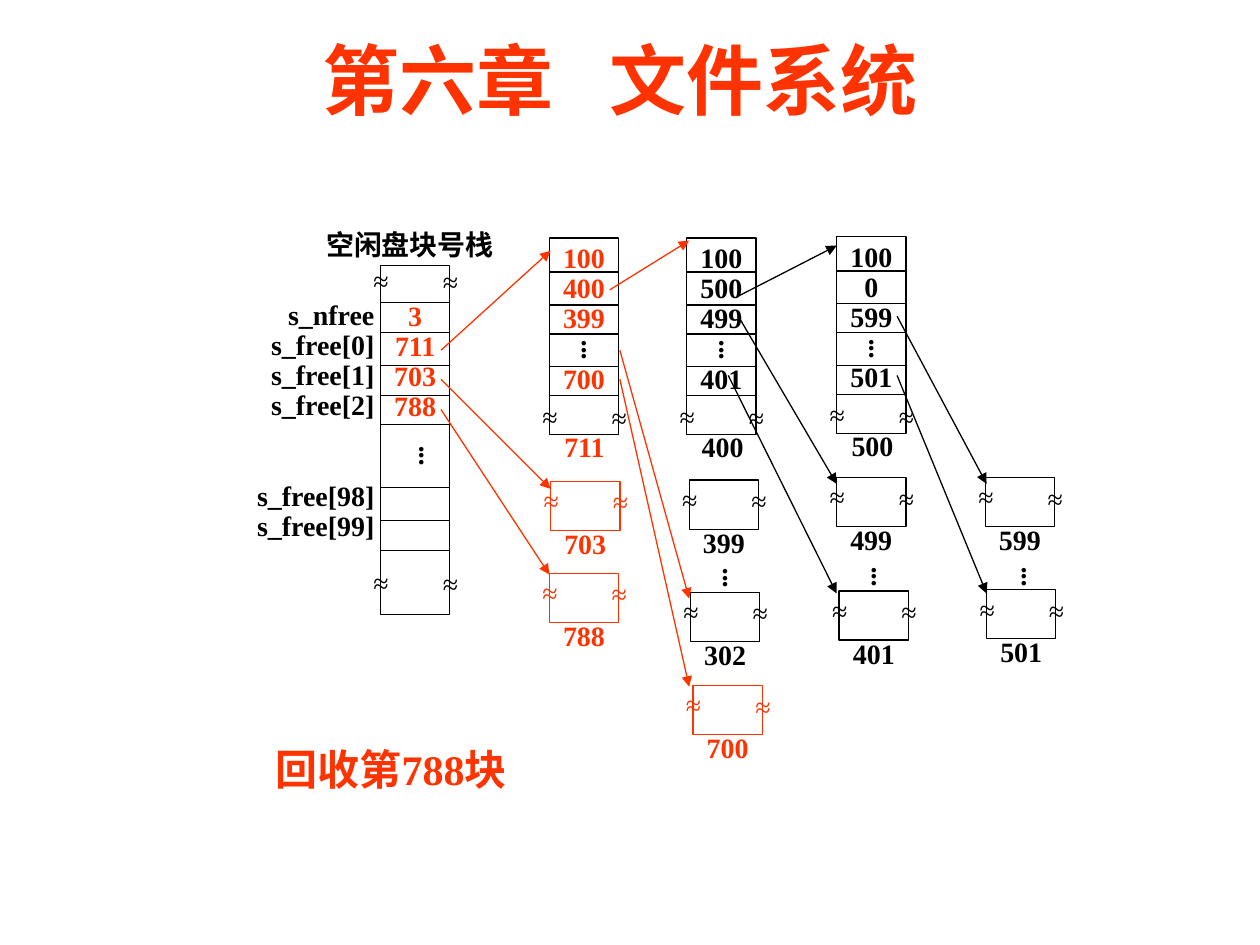
from lxml import etree
from pptx import Presentation
from pptx.dml.color import RGBColor
from pptx.enum.shapes import MSO_CONNECTOR, MSO_SHAPE
from pptx.enum.text import MSO_ANCHOR, PP_ALIGN
from pptx.oxml.ns import qn
from pptx.util import Inches, Pt

LEFT, CENTER, RIGHT = PP_ALIGN.LEFT, PP_ALIGN.CENTER, PP_ALIGN.RIGHT
TOP, MIDDLE = MSO_ANCHOR.TOP, MSO_ANCHOR.MIDDLE
RECTANGLE, STRAIGHT = MSO_SHAPE.RECTANGLE, MSO_CONNECTOR.STRAIGHT
RED, BLACK = "FF3300", "000000"
SERIF, SANS = "Times New Roman", "Arial"
BLOCK_WIDTH, ROW_PITCH = 0.55, 17.2

TITLE = ("第六章", " ", "文件系统")
STACK_TITLE = "空闲盘块号栈"
CAPTION = "回收第788块"
STACK_NAMES = ["s_nfree", "s_free[0]", "s_free[1]", "s_free[2]", None, None, "s_free[98]", "s_free[99]"]
STACK_VALUES = [None, "3", "711", "703", "788"]
STACK_X, STACK_Y, STACK_HEIGHT = 3.02, 2.11, 2.77
STACK_RULES = [2.4, 2.64, 2.9, 3.14, 3.37, 3.87, 4.13, 4.37]

INDEX_HEIGHT = 1.56
INDEX_RULES = [0.27, 0.53, 0.76, 1.02, 1.25]
INDEX_BLOCKS = [
    ("711", 4.36, 1.89, RED, ["100", "400", "399", None, "700"]),
    ("400", 5.45, 1.89, BLACK, ["100", "500", "499", None, "401"]),
    ("500", 6.64, 1.88, BLACK, ["100", "0", "599", None, "501"]),
]
DATA_HEIGHT = 0.39
DATA_BLOCKS = [
    ("703", 4.37, 3.82, RED), ("788", 4.36, 4.55, RED),
    ("399", 5.47, 3.81, BLACK), ("302", 5.48, 4.7, BLACK), ("700", 5.5, 5.44, RED),
    ("499", 6.64, 3.79, BLACK), ("401", 6.66, 4.69, BLACK),
    ("599", 7.82, 3.79, BLACK), ("501", 7.83, 4.68, BLACK),
]
ELLIPSES = [(3.19, 3.49), (5.6, 4.46), (6.78, 4.45), (7.97, 4.45)]
ARROWS = [
    (RED, (3.5, 2.78), (4.37, 1.99)),
    (RED, (3.5, 3.01), (4.37, 3.88)),
    (RED, (3.5, 3.25), (4.36, 4.56)),
    (RED, (4.84, 2.3), (5.47, 1.91)),
    (RED, (4.92, 2.78), (5.47, 4.75)),
    (RED, (4.92, 3.01), (5.47, 5.45)),
    (BLACK, (5.86, 2.35), (6.64, 1.95)),
    (BLACK, (5.86, 2.51), (6.64, 3.84)),
    (BLACK, (5.78, 2.98), (6.64, 4.71)),
    (BLACK, (7.12, 2.51), (7.83, 3.84)),
    (BLACK, (7.12, 2.98), (7.83, 4.71)),
]


def rgb(color):
    return RGBColor.from_string(color)


def add_run(paragraph, text, color, size=16, bold=True, font=SERIF):
    run = paragraph.add_run()
    run.text = text
    run.font.name, run.font.size, run.font.bold = font, Pt(size), bold
    run.font.color.rgb = rgb(color)
    return run


def write_rows(frame, rows, color, align, spacing=0.9, **style):
    frame.word_wrap = True
    frame.vertical_anchor = TOP
    skipped, started = 0, False
    for row in rows:
        if row is None:
            skipped += 1
            continue
        if started:
            paragraph = frame.add_paragraph()
            paragraph.space_before = Pt(skipped * ROW_PITCH)
        else:
            paragraph = frame.paragraphs[0]
            frame.margin_top = Inches(0.05) + Pt(skipped * ROW_PITCH)
        paragraph.alignment, paragraph.line_spacing = align, spacing
        add_run(paragraph, row, color, **style)
        skipped, started = 0, True


def add_text(shapes, x, y, width, height, rows, color=BLACK, align=LEFT, spacing=1.0, **style):
    box = shapes.add_textbox(Inches(x), Inches(y), Inches(width), Inches(height))
    write_rows(box.text_frame, rows, color, align, spacing, **style)
    return box.text_frame


def add_symbol(shapes, x, y, rows, color, **style):
    frame = add_text(shapes, x, y, 0.31, 0.26, rows, color, CENTER, **style)
    frame.margin_left = frame.margin_right = 0


def add_dots(shapes, x, y):
    add_symbol(shapes, x, y, [".", ".", "."], BLACK, spacing=0.2)


def add_breaks(shapes, x, y, color):
    for dx, dy in ((-0.15, -0.01), (0.4, 0)):
        add_symbol(shapes, x + dx, y + dy, ["≈"], color, bold=False)


def add_line(shapes, start, end, color=BLACK, arrow=False):
    line = shapes.add_connector(STRAIGHT, *(Inches(v) for v in (*start, *end)))
    line.line.color.rgb = rgb(color)
    line.line.width = Pt(0.75)
    if arrow:
        etree.SubElement(line.line._get_or_add_ln(), qn("a:tailEnd"), type="triangle")
    etree.SubElement(line._element.spPr, qn("a:effectLst"))


def add_rules(shapes, x, heights):
    for y in heights:
        add_line(shapes, (x, y), (x + BLOCK_WIDTH, y))


def add_block(shapes, x, y, height, border, rows=(), color=BLACK):
    block = shapes.add_shape(RECTANGLE, Inches(x), Inches(y), Inches(BLOCK_WIDTH), Inches(height))
    block.shadow.inherit = False
    block.fill.background()
    block.line.color.rgb = rgb(border)
    block.line.width = Pt(0.75)
    write_rows(block.text_frame, rows, color, CENTER)


def add_label(shapes, x, y, number, color):
    add_text(shapes, x, y, BLOCK_WIDTH, 0.37, [number], color)


def add_stack(shapes):
    add_block(shapes, STACK_X, STACK_Y, STACK_HEIGHT, BLACK, STACK_VALUES, RED)
    add_rules(shapes, STACK_X, STACK_RULES)
    for y in (2.05, 4.45):
        add_breaks(shapes, STACK_X, y, BLACK)
    add_text(shapes, 1.85, 2.34, 1.22, 2.03, STACK_NAMES, align=RIGHT, spacing=0.9)
    add_text(shapes, 2.49, 1.76, 1.57, 0.37, [STACK_TITLE], font=SANS)


def add_title(shapes):
    box = shapes.add_textbox(Inches(1.17), Inches(0.25), Inches(7.5), Inches(0.75))
    frame = box.text_frame
    frame.word_wrap, frame.vertical_anchor = True, MIDDLE
    frame.paragraphs[0].alignment = CENTER
    chapter, gap, name = (add_run(frame.paragraphs[0], part, RED, 44) for part in TITLE)
    gap.font._element.set("spc", "2200")


def main():
    deck = Presentation()
    deck.slide_width, deck.slide_height = Inches(10), Inches(7.5)
    shapes = deck.slides.add_slide(deck.slide_layouts[6]).shapes
    add_title(shapes)
    add_stack(shapes)
    for number, x, y, color, rows in INDEX_BLOCKS:
        group = shapes.add_group_shape().shapes
        add_block(group, x, y, INDEX_HEIGHT, BLACK, rows, color)
        add_rules(group, x, [y + offset for offset in INDEX_RULES])
        add_breaks(group, x, y + 1.24, BLACK)
        add_dots(group, x + 0.12, y + 0.76)
        add_label(group, x + 0.02, y + 1.47, number, color)
    for number, x, y, color in DATA_BLOCKS:
        group = shapes.add_group_shape().shapes
        add_block(group, x, y, DATA_HEIGHT, color)
        add_breaks(group, x, y - 0.02, color)
        add_label(group, x + 0.01, y + 0.31, number, color)
    for x, y in ELLIPSES:
        add_dots(shapes, x, y)
    for color, start, end in ARROWS:
        add_line(shapes, start, end, color, arrow=True)
    add_text(shapes, 2.09, 5.85, 2.2, 0.5, [CAPTION], RED, size=24)
    deck.save("out.pptx")


if __name__ == "__main__":
    main()
